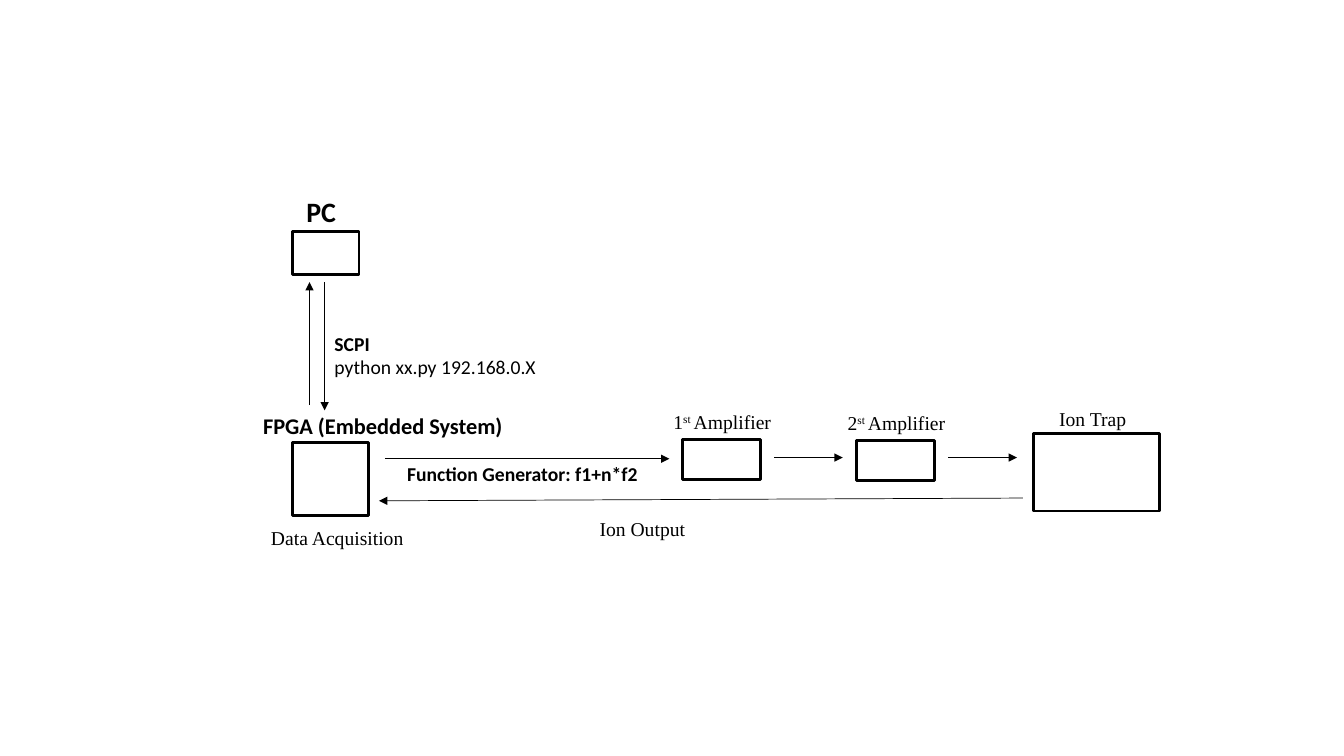
from lxml.etree import SubElement
from pptx import Presentation
from pptx.dml.color import RGBColor
from pptx.enum.shapes import MSO_CONNECTOR as Connector, MSO_SHAPE as Shape
from pptx.oxml.ns import qn
from pptx.util import Cm, Pt

COLORS = {"ink": "000000", "paper": "FFFFFF"}
SANS, SERIF = "Calibri", "Times New Roman"


def color(name):
    return RGBColor.from_string(COLORS[name])


def add_text(paragraph, text, font=SERIF, size=14, bold=False, baseline=0):
    run = paragraph.add_run()
    run.text = text
    run.font.name = font
    run.font.size = Pt(size)
    run.font.bold = bold
    run.font.color.rgb = color("ink")
    if baseline:
        run._r.get_or_add_rPr().set("baseline", str(baseline * 1000))


class Diagram:
    box_line = Pt(2)
    arrow_line = Pt(0.5)

    def __init__(self, slide):
        self.slide = slide

    def box(self, left, top, width, height):
        shape = self.slide.shapes.add_shape(
            Shape.RECTANGLE, Cm(left), Cm(top), Cm(width), Cm(height))
        shape.shadow.inherit = False
        shape.fill.solid()
        shape.fill.fore_color.rgb = color("paper")
        shape.line.color.rgb = color("ink")
        shape.line.width = self.box_line

    def label(self, left, top, width, height, text="", **style):
        shape = self.slide.shapes.add_textbox(
            Cm(left), Cm(top), Cm(width), Cm(height))
        shape.text_frame.word_wrap = True
        paragraph = shape.text_frame.paragraphs[0]
        if text:
            add_text(paragraph, text, **style)
        return paragraph

    def arrow(self, start_x, start_y, end_x, end_y):
        connector = self.slide.shapes.add_connector(
            Connector.STRAIGHT, Cm(start_x), Cm(start_y), Cm(end_x), Cm(end_y))
        connector.line.color.rgb = color("ink")
        connector.line.width = self.arrow_line
        properties = connector._element.spPr
        SubElement(properties.find(qn("a:ln")), qn("a:tailEnd"), type="triangle")
        SubElement(properties, qn("a:effectLst"))


presentation = Presentation()
presentation.slide_width = Cm(33.87)
presentation.slide_height = Cm(19.05)
diagram = Diagram(presentation.slides.add_slide(presentation.slide_layouts[6]))

diagram.box(7.37, 5.84, 1.68, 1.07)
diagram.label(7.47, 4.78, 1.42, 1.12, "PC", font=SANS, size=20, bold=True)

diagram.arrow(8.18, 7.11, 8.18, 10.34)
diagram.arrow(7.8, 10.21, 7.8, 7.11)
command = diagram.label(8.18, 8.23, 5.59, 1.45, "SCPI", font=SANS, bold=True)
command.add_line_break()
add_text(command, "python xx.py 192.168.0.X", font=SANS)

diagram.box(7.37, 11.15, 1.91, 1.85)
diagram.label(6.38, 10.26, 7.42, 0.94, "FPGA (Embedded System)",
              font=SANS, size=16, bold=True)
diagram.label(6.58, 13.13, 3.96, 0.86, "Data Acquisition")

diagram.arrow(9.7, 11.56, 16.87, 11.56)
diagram.label(10.01, 11.51, 6.6, 0.86, "Function Generator: f1+n*f2",
              font=SANS, bold=True)

for number, left, top in (("1", 17.2, 11.07), ("2", 21.59, 11.1)):
    diagram.box(left, top, 1.96, 1.02)
    name = diagram.label(left - 0.48, top - 0.87, 3.28, 0.86, number)
    add_text(name, "st ", baseline=30)
    add_text(name, "Amplifier")
    diagram.arrow(left + 2.31, 11.53, left + 4.04, 11.53)

diagram.box(26.04, 10.92, 3.18, 1.96)
diagram.label(26.44, 10.13, 2.77, 0.79, "Ion Trap")

diagram.arrow(25.78, 12.55, 9.55, 12.62)
diagram.label(14.86, 12.9, 3.71, 0.86, "Ion Output")

presentation.save("out.pptx")
